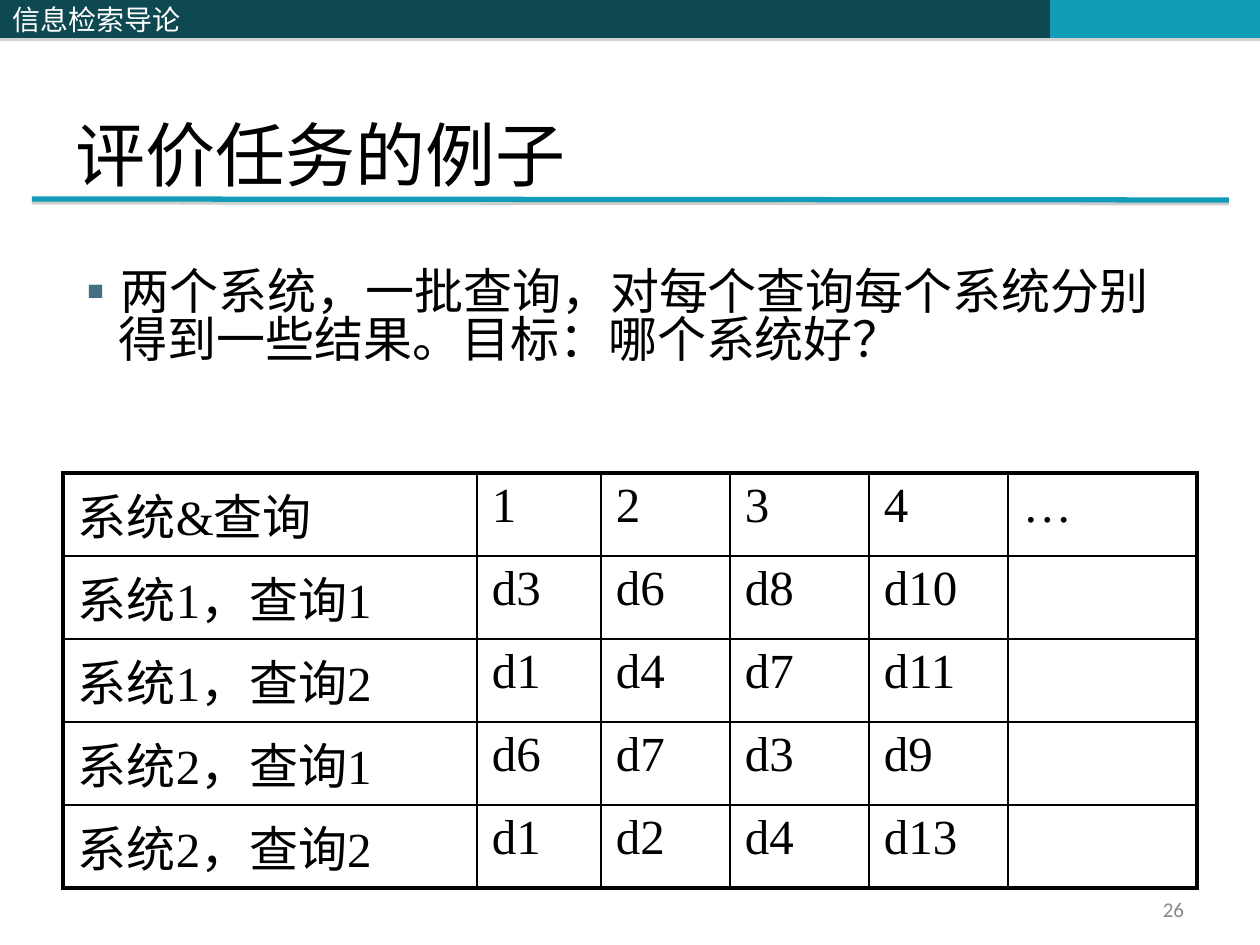
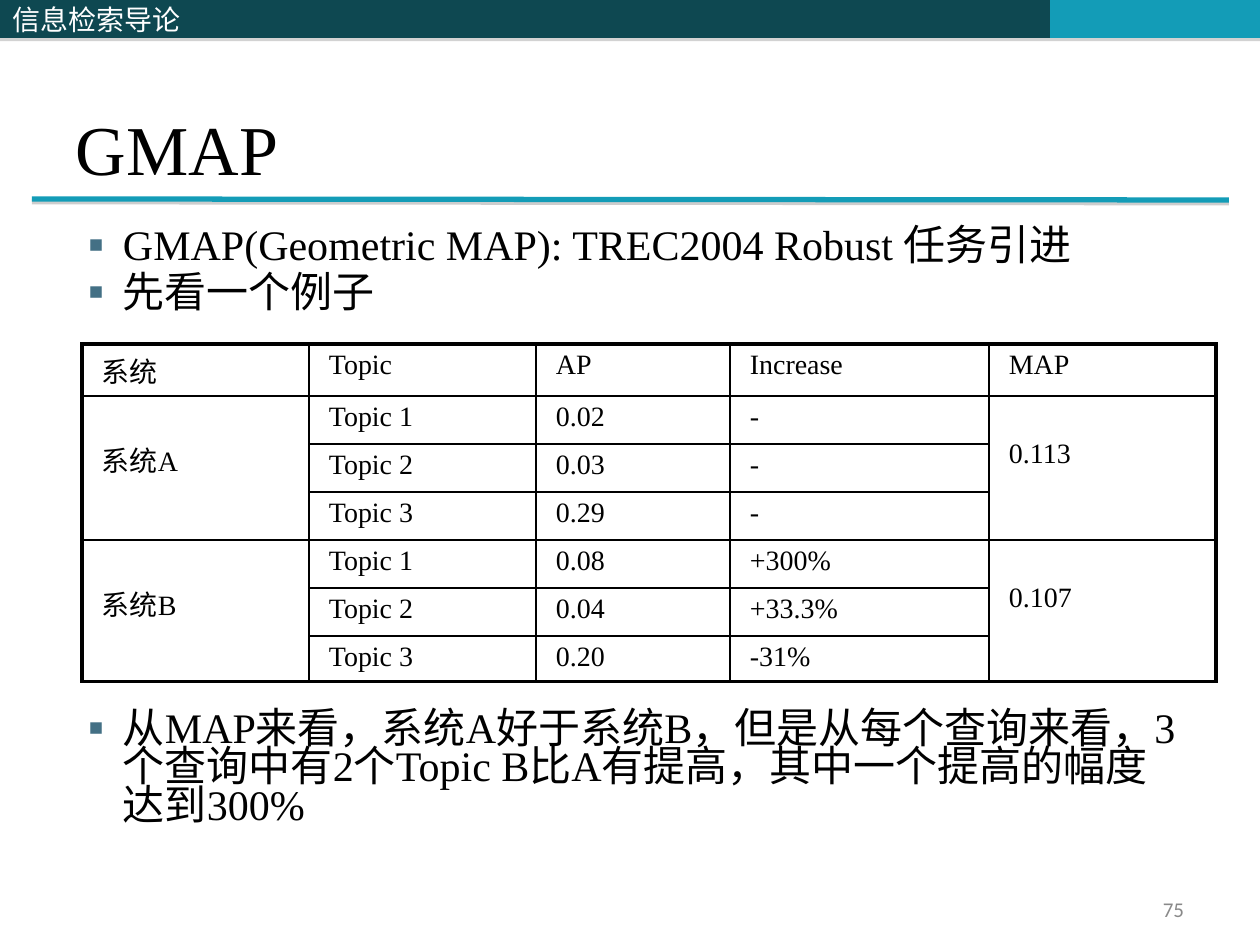
from itertools import accumulate

from lxml import etree
from pptx import Presentation
from pptx.dml.color import RGBColor
from pptx.enum.shapes import MSO_CONNECTOR, MSO_SHAPE
from pptx.enum.text import MSO_ANCHOR as ANCHOR, PP_ALIGN as ALIGN
from pptx.oxml.ns import qn
from pptx.util import Pt

EMU_PER_PX = 914400 / 126
DARK, TEAL, BULLET = "0E4851", "139CB7", "437085"
BLACK, WHITE, GREY, SHADOW = "000000", "FFFFFF", "898989", "808080"
SERIF, SANS, CJK = "Times New Roman", "Calibri", "Noto Sans CJK SC"
INSET_X, INSET_Y = 13, 6


def px(n):
    return round(n * EMU_PER_PX)


def rgb(color):
    return RGBColor.from_string(color)


def sub(parent, tag, **attrs):
    return etree.SubElement(parent, qn(tag), {k: str(v) for k, v in attrs.items()})


def write(p, text, size=24, font=SERIF, color=BLACK, align=ALIGN.LEFT,
          bullet=False, spacing=None, before=0):
    """Fill one paragraph with a formatted run."""
    p.alignment = align
    p.space_before = Pt(before)
    if spacing:
        p.line_spacing = spacing
    if bullet:
        pPr = p._p.get_or_add_pPr()
        pPr.set("marL", str(px(47)))
        pPr.set("indent", str(px(-47)))
        sub(sub(pPr, "a:buClr"), "a:srgbClr", val=BULLET)
        sub(pPr, "a:buFont", typeface=CJK)
        sub(pPr, "a:buChar", char="▪")
    r = p.add_run()
    r.text = text
    r.font.size = Pt(size)
    r.font.name = font
    r.font.color.rgb = rgb(color)
    sub(r._r.get_or_add_rPr(), "a:ea", typeface=CJK)


def set_frame(tf, anchor, bottom=INSET_Y):
    tf.word_wrap = True
    tf.vertical_anchor = anchor
    tf.margin_left = tf.margin_right = px(INSET_X)
    tf.margin_top, tf.margin_bottom = px(INSET_Y), px(bottom)


def text_box(s, box, texts, anchor=ANCHOR.TOP, bottom=INSET_Y, gap=0, **fmt):
    tf = s.shapes.add_textbox(*map(px, box)).text_frame
    set_frame(tf, anchor, bottom)
    for i, text in enumerate(texts):
        p = tf.add_paragraph() if i else tf.paragraphs[0]
        write(p, text, before=gap if i else 0, **fmt)


def drop_shadow(sp, distance, alpha):
    effects = sub(sp._element.spPr, "a:effectLst")
    shadow = sub(effects, "a:outerShdw", blurRad=0, dist=Pt(distance),
                 dir=90 * 60000, algn="ctr", rotWithShape=0)
    sub(sub(shadow, "a:srgbClr", val=SHADOW), "a:alpha", val=alpha * 1000)


# Parts shared by the slides
def band(s, left, right, color, text=None):
    sp = s.shapes.add_shape(MSO_SHAPE.RECTANGLE, px(left), 0, px(right - left), px(38))
    sp.fill.solid()
    sp.fill.fore_color.rgb = rgb(color)
    sp.line.fill.background()
    drop_shadow(sp, 1.8, 35)
    if text:
        set_frame(sp.text_frame, ANCHOR.MIDDLE)
        write(sp.text_frame.paragraphs[0], text, size=16, font=CJK, color=WHITE)


def base_slide(prs, title, number, title_inset=INSET_Y):
    s = prs.slides.add_slide(prs.slide_layouts[6])
    band(s, 514, 1050, DARK)
    band(s, 1050, 1260, TEAL)
    rule = s.shapes.add_connector(MSO_CONNECTOR.STRAIGHT, px(32), px(199), px(1229), px(200))
    rule.line.color.rgb = rgb(TEAL)
    rule.line.width = Pt(3)
    drop_shadow(rule, 1.6, 38)
    band(s, 0, 514, DARK, "信息检索导论")
    text_box(s, (63, 38, 1134, 157), [title], ANCHOR.BOTTOM, bottom=title_inset, size=40)
    text_box(s, (903, 892, 294, 34), [number], ANCHOR.MIDDLE,
             size=12, font=SANS, color=GREY, align=ALIGN.RIGHT)
    return s


def set_borders(cell, outer):
    """Draw left, right, top and bottom borders, thick where outer is true."""
    tcPr = cell._tc.get_or_add_tcPr()
    for side, thick in zip("LRTB", outer):
        ln = sub(tcPr, f"a:ln{side}", w=Pt(2.25 if thick else 1))
        sub(sub(ln, "a:solidFill"), "a:srgbClr", val=BLACK)


def grid_table(s, left, top, widths, heights, rows, size, inset, spans=(), span_top=INSET_Y):
    """Ruled table; spans lists (first row, last row, column) to merge."""
    n_rows, n_cols = len(heights), len(widths)
    frame = s.shapes.add_table(n_rows, n_cols, px(left), px(top),
                               px(sum(widths)), px(sum(heights)))
    tbl = frame.table
    tbl.first_row = tbl.horz_banding = False
    edges = [px(x) for x in accumulate(widths, initial=0)]
    for col, start, end in zip(tbl.columns, edges, edges[1:]):
        col.width = end - start
    for row, height in zip(tbl.rows, heights):
        row.height = px(height)
    for first, last, c in spans:
        tbl.cell(first, c).merge(tbl.cell(last, c))
    for i, row in enumerate(rows):
        for j, text in enumerate(row):
            cell = tbl.cell(i, j)
            last = i + cell.span_height - 1 if cell.is_merge_origin else i
            set_borders(cell, (j == 0, j == n_cols - 1, i == 0, last == n_rows - 1))
            cell.fill.background()
            cell.margin_left = cell.margin_right = px(inset)
            cell.margin_top = px(span_top if cell.is_merge_origin else INSET_Y)
            cell.margin_bottom = px(INSET_Y)
            if text:
                write(cell.text_frame.paragraphs[0], text, size=size)


# Slide with the retrieval results of two systems
def task_slide(prs):
    s = base_slide(prs, "评价任务的例子", "26", title_inset=0)
    rows = [
        ["系统&查询", "1", "2", "3", "4", "…"],
        ["系统1，查询1", "d3", "d6", "d8", "d10", ""],
        ["系统1，查询2", "d1", "d4", "d7", "d11", ""],
        ["系统2，查询1", "d6", "d7", "d3", "d9", ""],
        ["系统2，查询2", "d1", "d2", "d4", "d13", ""],
    ]
    grid_table(s, 63, 473, [414, 124, 129, 139, 139, 189], [83] * 5, rows,
               size=28, inset=15)
    text_box(s, (59, 264, 1106, 490),
             ["两个系统，一批查询，对每个查询每个系统分别得到一些结果。目标：哪个系统好？"],
             size=28, bullet=True, spacing=0.83)


# Slide comparing average precision by topic
def gmap_slide(prs):
    s = base_slide(prs, "GMAP", "75")
    bullets = dict(size=24, bullet=True, spacing=0.76)
    text_box(s, (63, 224, 1134, 115),
             ["GMAP(Geometric MAP): TREC2004 Robust 任务引进", "先看一个例子"],
             gap=4.8, **bullets)
    text_box(s, (63, 707, 1134, 190),
             ["从MAP来看，系统A好于系统B，但是从每个查询来看，3个查询中有2个Topic B比A有提高，"
              "其中一个提高的幅度达到300%"], **bullets)
    rows = [
        ["系统", "Topic", "AP", "Increase", "MAP"],
        ["系统A", "Topic 1", "0.02", "-", "0.113"],
        ["", "Topic 2", "0.03", "-", ""],
        ["", "Topic 3", "0.29", "-", ""],
        ["系统B", "Topic 1", "0.08", "+300%", "0.107"],
        ["", "Topic 2", "0.04", "+33.3%", ""],
        ["", "Topic 3", "0.20", "-31%", ""],
    ]
    spans = [(first, first + 2, c) for first in (1, 4) for c in (0, 4)]
    grid_table(s, 82, 344, [227, 227, 194, 259, 227], [52] + [48] * 5 + [44], rows,
               size=16, inset=20, spans=spans, span_top=43)


def main():
    prs = Presentation()
    prs.slide_width, prs.slide_height = px(1260), px(945)
    task_slide(prs)
    gmap_slide(prs)
    prs.save("out.pptx")


if __name__ == "__main__":
    main()
